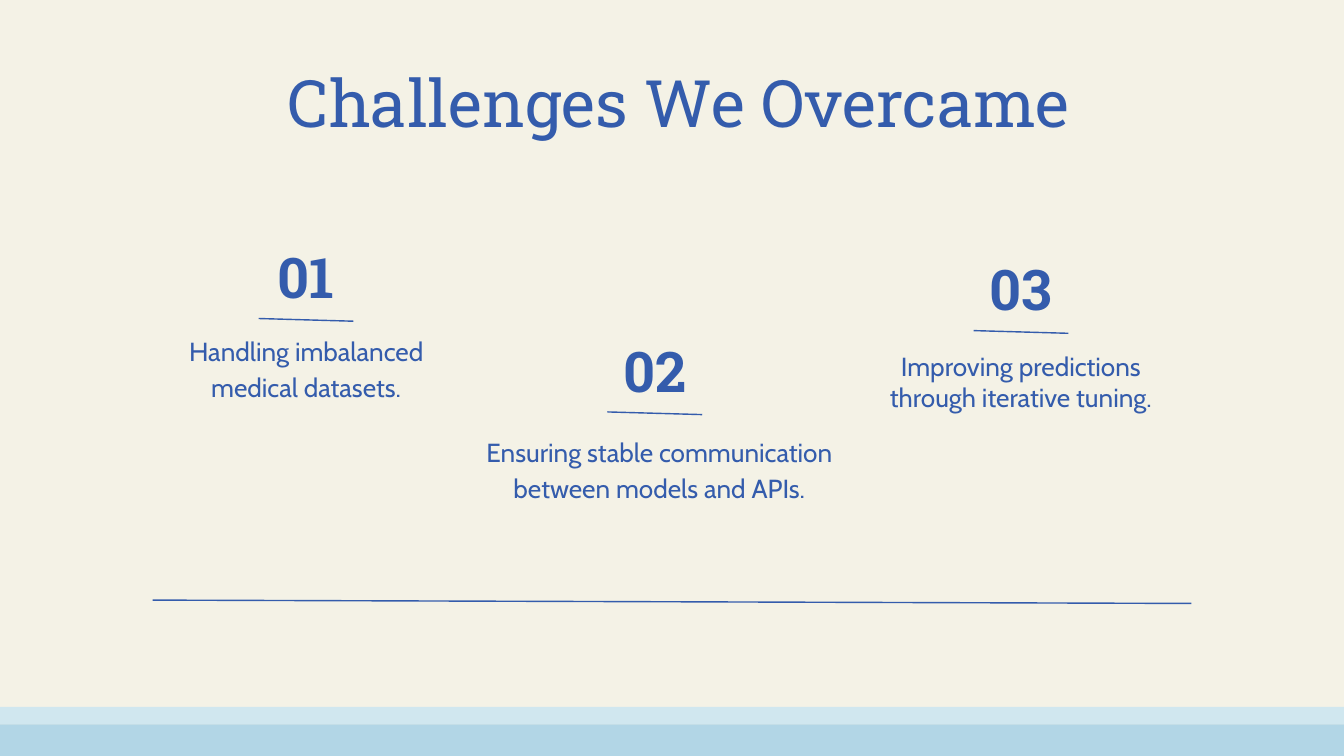
from pptx import Presentation
from pptx.dml.color import RGBColor
from pptx.enum.shapes import MSO_CONNECTOR, MSO_SHAPE
from pptx.enum.text import MSO_ANCHOR, PP_ALIGN
from pptx.oxml.ns import qn
from pptx.util import Inches, Pt
from lxml.etree import SubElement

W, H = 20, 11.25
BLUE, CREAM = "345CAC", "F4F2E6"
HEAD, BODY = "Roboto Slab", "Cabin"
TITLE = "Challenges We Overcame"
CHALLENGES = [
    {"number": "01", "at": (3.67, 3.61), "text": "Handling imbalanced medical datasets.",
     "box": (2.41, 4.92, 4.29, 1.04), "leading": 38.6},
    {"number": "02", "at": (8.86, 5), "text": "Ensuring stable communication between models and APIs.",
     "box": (6.78, 6.43, 6.06, 1.04), "leading": 38.6},
    {"number": "03", "at": (14.31, 3.79), "text": "Improving predictions through iterative tuning.",
     "box": (12.8, 5.21, 4.78, 0.92), "leading": 33.6},
]
BANDS = [("D0E7EF", 10.52, 0.26), ("B2D6E6", 10.78, H - 10.78)]


def rgb(color):
    return RGBColor.from_string(color)


def place(sp, box):
    sp.left, sp.top, sp.width, sp.height = (Inches(v) for v in box)


def write(sp, text, size, font, leading, bold=False):
    tf = sp.text_frame
    tf.word_wrap = True
    tf.vertical_anchor = MSO_ANCHOR.TOP
    tf.margin_left = tf.margin_right = tf.margin_top = tf.margin_bottom = 0
    p = tf.paragraphs[0]
    p.text = text
    p.alignment = PP_ALIGN.CENTER
    p.line_spacing = Pt(leading)
    p.font.size, p.font.name, p.font.bold = Pt(size), font, bold
    p.font.color.rgb = rgb(BLUE)


def add_text(s, box, *style):
    sp = s.shapes.add_textbox(*(Inches(v) for v in box))
    write(sp, *style)


def add_rule(s, x, y, width, drop):
    ends = (Inches(v) for v in (x, y, x + width, y + drop))
    line = s.shapes.add_connector(MSO_CONNECTOR.STRAIGHT, *ends)
    line.line.color.rgb = rgb(BLUE)
    line.line.width = Pt(1.5)
    SubElement(line._element.spPr, qn("a:effectLst"))


def add_band(s, color, top, height):
    sp = s.shapes.add_shape(MSO_SHAPE.RECTANGLE, 0, Inches(top), Inches(W), Inches(height))
    sp.shadow.inherit = False
    sp.fill.solid()
    sp.fill.fore_color.rgb = rgb(color)
    sp.line.fill.background()


def main():
    prs = Presentation()
    prs.slide_width, prs.slide_height = Inches(W), Inches(H)
    s = prs.slides.add_slide(prs.slide_layouts[5])
    s.background.fill.solid()
    s.background.fill.fore_color.rgb = rgb(CREAM)

    for band in BANDS:
        add_band(s, *band)

    place(s.shapes.title, (1.78, 0.93, 16.65, 1.17))
    write(s.shapes.title, TITLE, 70, HEAD, 84)

    for c in CHALLENGES:
        x, y = c["at"]
        add_rule(s, x + 0.18, y + 1.13, 1.41, 0.04)
        add_text(s, (x, y, 1.77, 0.88), c["number"], 60, HEAD, 72, True)
        add_text(s, c["box"], c["text"], 28, BODY, c["leading"])

    add_rule(s, 2.27, 8.93, W - 2 * 2.27, 0.05)
    prs.save("out.pptx")


if __name__ == "__main__":
    main()
